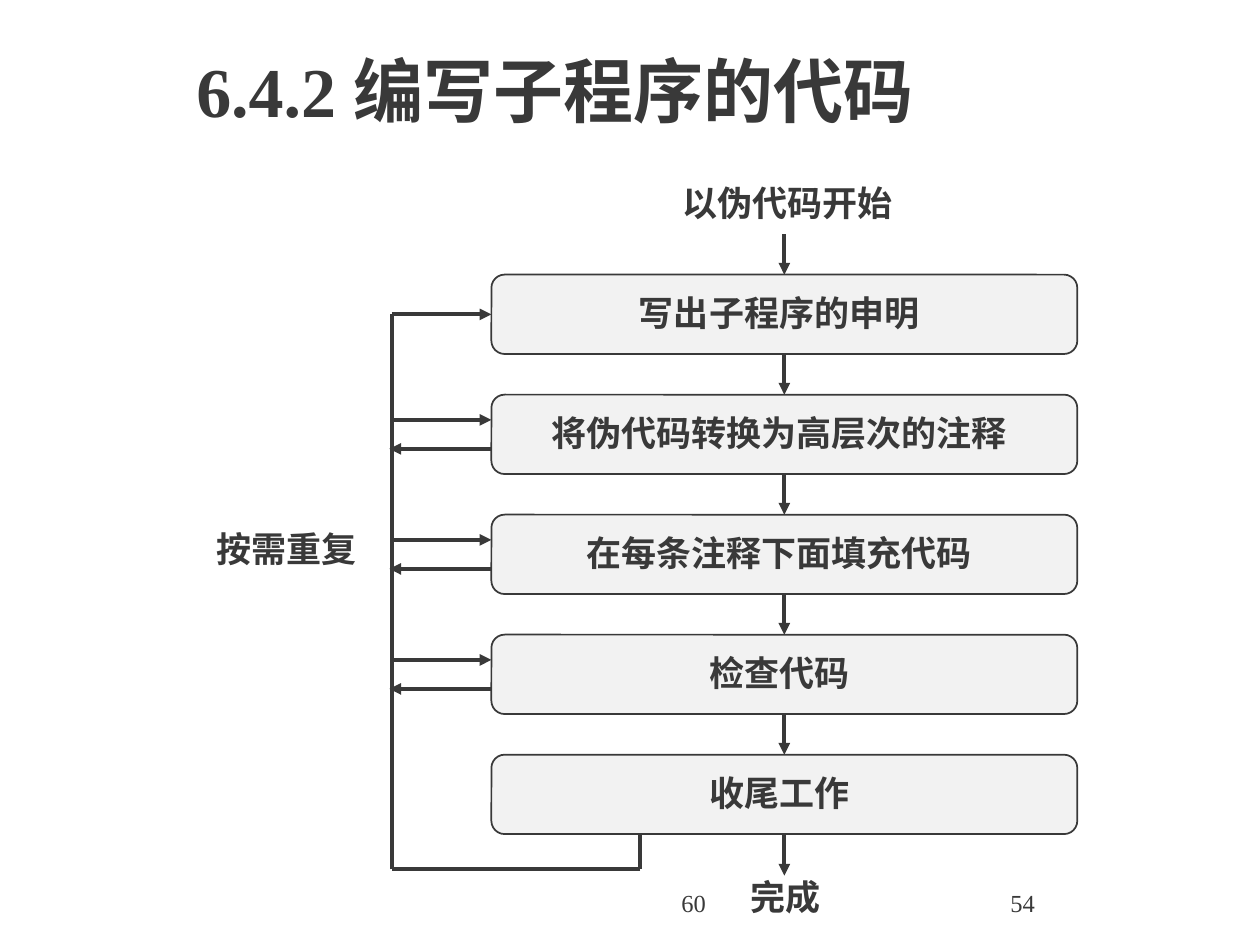
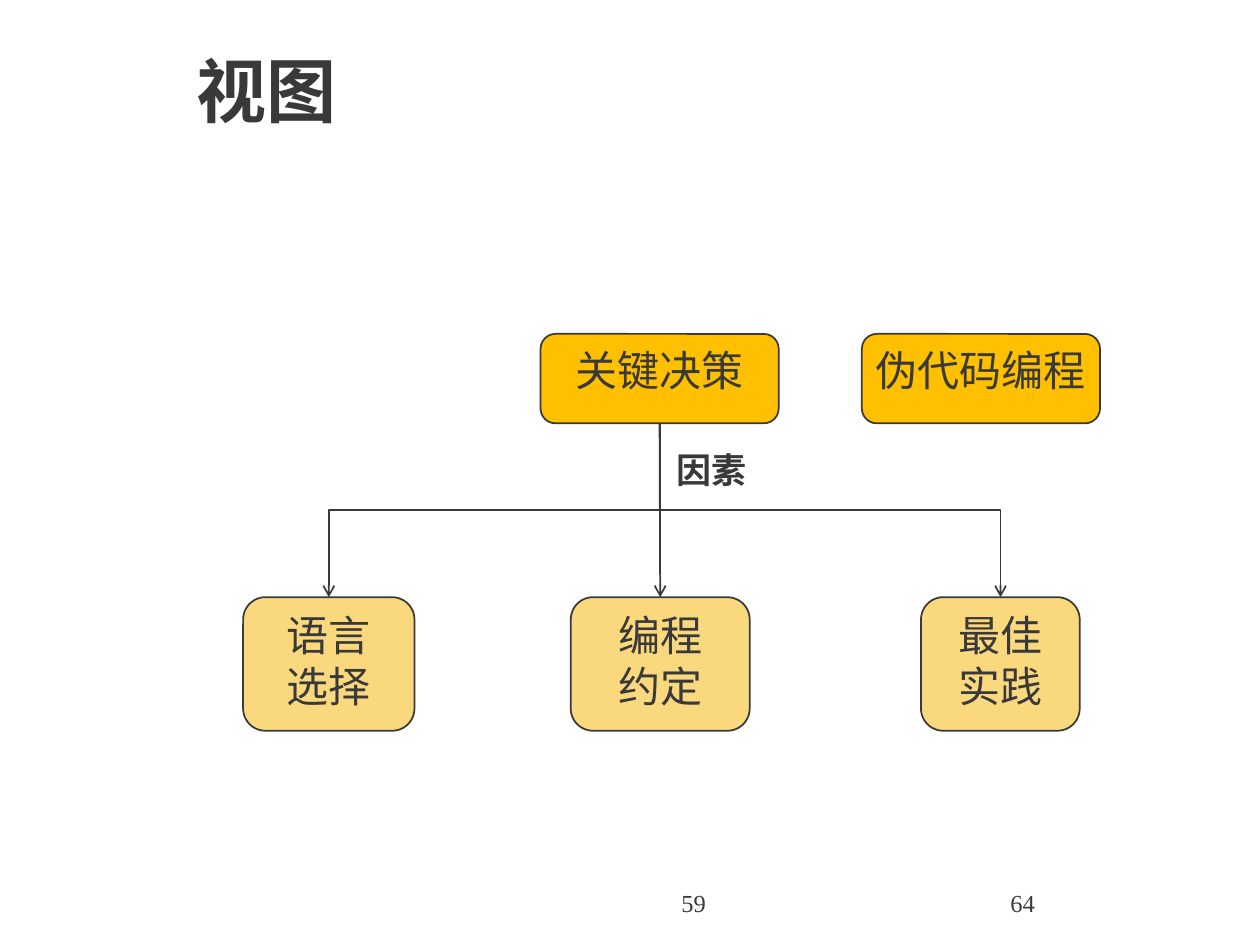
import pptx
import pptx.util
import pptx.dml.color
import pptx.enum.shapes
import pptx.enum.text
import pptx.oxml
import pptx.oxml.ns

Inches = pptx.util.Inches
Pt = pptx.util.Pt
RGB = pptx.dml.color.RGBColor
Align = pptx.enum.text.PP_ALIGN
Anchor = pptx.enum.text.MSO_ANCHOR
Kind = pptx.enum.shapes.MSO_CONNECTOR
qn = pptx.oxml.ns.qn

INK = RGB(0x39, 0x39, 0x39)
GREY = RGB(0xC0, 0xC0, 0xC0)
GOLD = RGB(0xFF, 0xC0, 0x00)
SAND = RGB(0xF9, 0xD8, 0x7E)
FONT = "Times New Roman"

# Boxes are left, top, width, height in inches
TITLE = (1.46, 0.05, 8.5, 1.32)
FOOTER = (3.92, 7, 6.08, 0.5)
FLOW = (1.62, 1.39, 6.93, 5.95)
TREE = (1.93, 2.65, 6.8, 3.15)


def sub(parent, tag, **attrs):
    node = pptx.oxml.parse_xml(f"<{tag} {pptx.oxml.ns.nsdecls('a')}/>")
    for name, value in attrs.items():
        node.set(name, value)
    parent.append(node)


def write(shape, lines, size, bold=False, align=Align.LEFT, wrap=True):
    """Fill a shape with one paragraph per line."""
    frame = shape.text_frame
    frame.word_wrap = wrap
    frame.vertical_anchor = Anchor.TOP
    for i, text in enumerate(lines):
        para = frame.paragraphs[0] if i == 0 else frame.add_paragraph()
        para.alignment = align
        run = para.add_run()
        run.text = text
        run.font.name = FONT
        run.font.size = Pt(size)
        run.font.bold = bold
        run.font.color.rgb = INK
    return frame


def label(slide, box, text, size=20, bold=True, align=Align.LEFT, wrap=False):
    shape = slide.shapes.add_textbox(*map(Inches, box))
    write(shape, [text], size, bold, align, wrap)


def card(slide, box, fill, alpha=None):
    shape = slide.shapes.add_shape(
        pptx.enum.shapes.MSO_SHAPE.ROUNDED_RECTANGLE, *map(Inches, box))
    shape.shadow.inherit = False
    shape.fill.solid()
    shape.fill.fore_color.rgb = fill
    if alpha:
        tint = shape._element.spPr.find(".//" + qn("a:srgbClr"))
        sub(tint, "a:alpha", val=str(alpha * 1000))
    shape.line.color.rgb = INK
    shape.line.width = Pt(1)
    return shape


def link(slide, start, end, width=2.25, head="triangle", kind=Kind.STRAIGHT):
    line = slide.shapes.add_connector(kind, *map(Inches, (*start, *end)))
    line.line.color.rgb = INK
    line.line.width = Pt(width)
    if head:
        sub(line.line._get_or_add_ln(), "a:tailEnd", type=head)
    sub(line._element.spPr, "a:effectLst")
    return line


def join(slide, upper, lower, **style):
    """Arrow from bottom centre to top centre."""
    line = link(slide, (0, 0), (1, 1), **style)
    line.begin_connect(upper, 2)
    line.end_connect(lower, 0)
    return line


def bend(slide, upper, lower):
    """Elbow arrow that leaves downward and arrives downward."""
    line = join(slide, upper, lower, width=1, head="arrow", kind=Kind.ELBOW)
    x1, y1 = upper.left + upper.width // 2, upper.top + upper.height
    x2, y2 = lower.left + lower.width // 2, lower.top
    right = x2 > x1
    # Size before the quarter turn
    line.width, line.height = y2 - y1, abs(x2 - x1)
    line.left = (x1 + x2 - line.width) // 2
    line.top = (y1 + y2 - line.height) // 2
    form = line._element.spPr.find(qn("a:xfrm"))
    form.set("rot", str((270 if right else 90) * 60000))
    form.set("flipH", "1" if right else "0")
    form.set("flipV", "0")


def title(slide, box, text):
    shape = slide.shapes.add_textbox(*map(Inches, box))
    write(shape, [text], 40, True).vertical_anchor = Anchor.MIDDLE


def footer(slide, box, mid, end):
    x, y, w, h = box
    label(slide, (x, y, 3.17, h), mid, 14, False, Align.CENTER, True)
    label(slide, (x + 4, y, w - 4, h), end, 14, False, wrap=True)


def flow(slide, box, names):
    x, y, w, h = box
    left, wide, high = x + 2.28, 4.65, 0.63
    first, last = y + 0.79, y + 4.6
    gap = (last - first) / (len(names) - 1)
    mid, rail, base = left + wide / 2, x + 1.49, y + 5.51

    # Labels
    label(slide, (x + 3.7, y, 2, 0.44), "以伪代码开始")
    label(slide, (x, y + 2.75, 1.4, 0.44), "按需重复")
    label(slide, (x + 4.24, base, 0.9, 0.44), "完成")

    # Steps
    steps = []
    for i, name in enumerate(names):
        step = card(slide, (left, first + i * gap, wide, high), GREY, 20)
        frame = write(step, [name], 20, True, Align.CENTER)
        frame.vertical_anchor = Anchor.MIDDLE
        frame.margin_right = Inches(0.18)
        frame.margin_bottom = Inches(0.08)
        steps.append(step)

    # Downward arrows
    link(slide, (mid, y + 0.47), (mid, first)).end_connect(steps[0], 0)
    for upper, lower in zip(steps, steps[1:]):
        join(slide, upper, lower)
    done = link(slide, (mid, last + high), (mid, base + 0.05))
    done.begin_connect(steps[-1], 2)

    # Return rail
    turn, top = x + 3.46, first + high / 2
    rails = [(turn, last + high), (turn, base), (rail, base), (rail, top)]
    for start, end in zip(rails, rails[1:]):
        link(slide, start, end, head=None)
    link(slide, (rail, top), (left, top)).end_connect(steps[0], 1)

    # Arrows in and out of the middle steps
    for i in range(1, len(names) - 1):
        row = first + i * gap
        link(slide, (rail, row + 0.2), (left, row + 0.2))
        link(slide, (left, row + 0.43), (rail - 0.02, row + 0.43))


def tree(slide, box):
    x, y, w, h = box

    # Top row
    tops = []
    for dx, name in ((2.36, "关键决策"), (4.91, "伪代码编程")):
        top = card(slide, (x + dx, y, 1.89, 0.71), GOLD)
        write(top, [name], 24, align=Align.CENTER, wrap=False)
        tops.append(top)

    # Factors
    kids = []
    for dx, wide, lines in ((0, 1.36, ("语言", "选择")),
                            (2.6, 1.42, ("编程", "约定")),
                            (5.38, 1.26, ("最佳", "实践"))):
        kid = card(slide, (x + dx, y + 2.09, wide, h - 2.09), SAND)
        write(kid, lines, 24, align=Align.CENTER, wrap=False)
        kids.append(kid)

    # Branches
    bend(slide, tops[0], kids[0])
    join(slide, tops[0], kids[1], width=1, head="arrow")
    bend(slide, tops[0], kids[2])
    label(slide, (x + 3.34, y + 0.86, 0.9, 0.44), "因素")


def page(deck, name, mid, end):
    slide = deck.slides.add_slide(deck.slide_layouts[6])
    title(slide, TITLE, name)
    footer(slide, FOOTER, mid, end)
    return slide


def main():
    deck = pptx.Presentation()
    deck.slide_width, deck.slide_height = Inches(10), Inches(7.5)
    slide = page(deck, "6.4.2 编写子程序的代码", "60", "54")
    flow(slide, FLOW, ["写出子程序的申明", "将伪代码转换为高层次的注释",
                       "在每条注释下面填充代码", "检查代码", "收尾工作"])
    slide = page(deck, "视图", "59", "64")
    tree(slide, TREE)
    deck.save("out.pptx")


if __name__ == "__main__":
    main()
